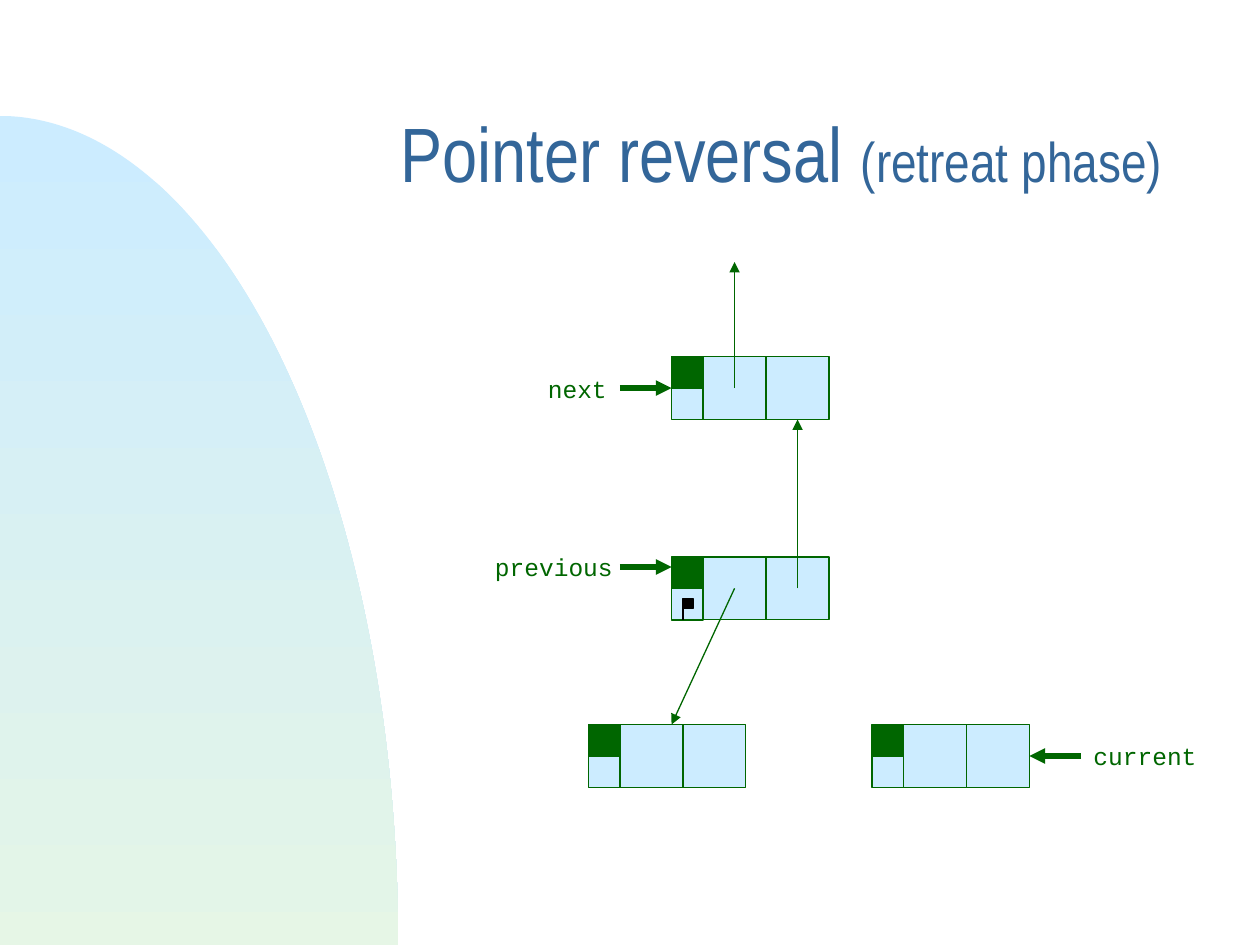
from lxml.etree import SubElement
from pptx import Presentation
from pptx.dml.color import RGBColor
from pptx.enum.shapes import MSO_CONNECTOR, MSO_SHAPE
from pptx.enum.text import MSO_ANCHOR, MSO_AUTO_SIZE, PP_ALIGN
from pptx.oxml.ns import qn
from pptx.util import Inches, Pt

GREEN, SKY, DARK, BLUE, CREAM = "006600", "CCECFF", "010000", "336699", "FFFFCC"
TITLE = [("Pointer reversal ", 44), ("(retreat phase)", 32)]
HILL = (-3.17, 0.92, 6.33, 13.16)
NODES = [(5.33, 4.42), (5.33, 2.83), (4.67, 5.75), (6.92, 5.75)]
HALF, FULL = 0.25, 0.5
# Parts of a node: x and y offset, size, fill
PARTS = [
    (0, 0, HALF, GREEN),
    (0, HALF, HALF, SKY),
    (HALF, 0, FULL, SKY),
    (HALF + FULL, 0, FULL, SKY),
]
LINKS = [
    ((5.83, 3.08), (5.83, 2.08)),
    ((6.33, 4.67), (6.33, 3.33)),
    ((5.83, 4.67), (5.33, 5.75)),
]
# Label, text box, arrow start, arrow end
NAMES = [
    ("previous", (3.83, 4.33, 1.15, 0.34), (4.92, 4.5), (5.33, 4.5)),
    ("next", (4.25, 2.92, 0.67, 0.34), (4.92, 3.08), (5.33, 3.08)),
    ("current", (8.58, 5.83, 1.02, 0.34), (8.58, 6), (8.17, 6)),
]
FLAG = (5.42, 4.75)


def color(text):
    return RGBColor.from_string(text)


def style(font, **values):
    for key, value in values.items():
        setattr(font, key, value)


def box(x, y, size, fill, edge):
    rect = slide.shapes.add_shape(
        MSO_SHAPE.RECTANGLE, *map(Inches, (x, y, size, size)))
    rect.shadow.inherit = False
    rect.fill.solid()
    rect.fill.fore_color.rgb = color(fill)
    rect.line.color.rgb = color(edge)
    rect.line.width = Pt(0.75)


def line(start, end, width=0.75, ink=GREEN, arrow=True):
    link = slide.shapes.add_connector(
        MSO_CONNECTOR.STRAIGHT, *map(Inches, start + end))
    link.line.color.rgb = color(ink)
    link.line.width = Pt(width)
    if arrow:
        SubElement(link.line._get_or_add_ln(), qn("a:tailEnd"), type="triangle")
    SubElement(link._element.spPr, qn("a:effectLst"))


def label(text, place):
    area = slide.shapes.add_textbox(*map(Inches, place))
    frame = area.text_frame
    frame.word_wrap = False
    frame.auto_size = MSO_AUTO_SIZE.SHAPE_TO_FIT_TEXT
    run = frame.paragraphs[0].add_run()
    run.text = text
    style(run.font, name="Courier New", size=Pt(14))
    run.font.color.rgb = color(GREEN)


deck = Presentation()
deck.slide_width, deck.slide_height = Inches(10), Inches(7.5)
slide = deck.slides.add_slide(deck.slide_layouts[5])

hill = slide.shapes.add_shape(MSO_SHAPE.OVAL, *map(Inches, HILL))
hill.shadow.inherit = False
hill.line.fill.background()
hill.fill.gradient()
hill.fill.gradient_angle = 270
for stop, tint in zip(hill.fill.gradient_stops, (SKY, CREAM)):
    stop.color.rgb = color(tint)

title = slide.shapes.title
title.left, title.top, title.width, title.height = map(
    Inches, (3.08, 0.67, 6.67, 1.25))
title.text_frame.vertical_anchor = MSO_ANCHOR.MIDDLE
title.text_frame.auto_size = MSO_AUTO_SIZE.NONE
head = title.text_frame.paragraphs[0]
head.alignment = PP_ALIGN.LEFT
head.line_spacing = 0.7
for text, size in TITLE:
    run = head.add_run()
    run.text = text
    style(run.font, name="Arial Narrow", size=Pt(size))
    run.font.color.rgb = color(BLUE)

for x, y in NODES:
    for dx, dy, size, fill in PARTS:
        box(x + dx, y + dy, size, fill, GREEN)
for start, end in LINKS:
    line(start, end)
for text, place, start, end in NAMES:
    line(start, end, width=3)
    label(text, place)

box(*FLAG, 0.08, DARK, DARK)
line(FLAG, (FLAG[0], 4.92), ink=DARK, arrow=False)

deck.save("out.pptx")
